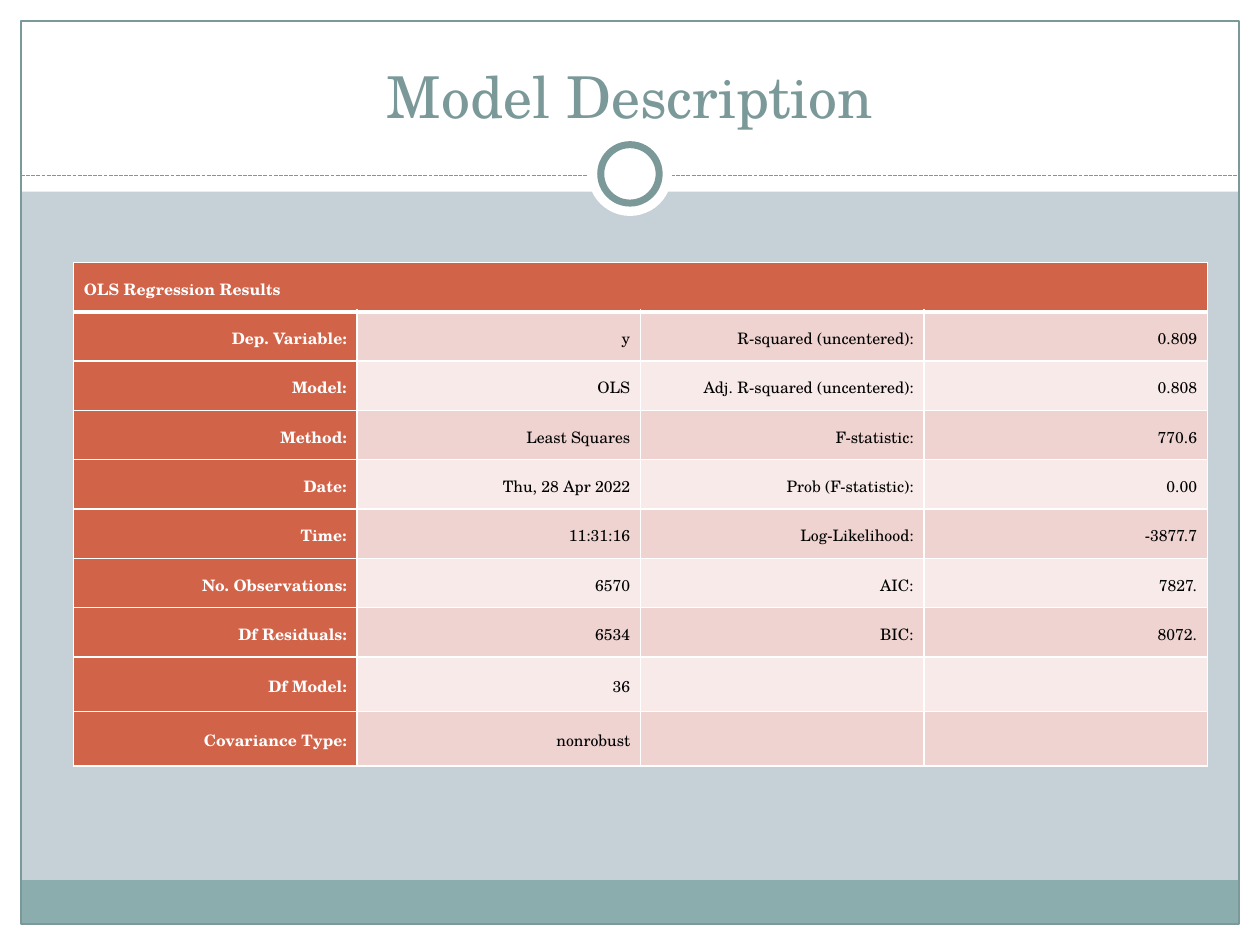
import pptx
import pptx.dml.color
import pptx.enum.dml
import pptx.enum.shapes
import pptx.enum.text
import pptx.oxml.ns
import pptx.util
from lxml import etree

Pt = pptx.util.Pt
SHAPES = pptx.enum.shapes.MSO_SHAPE
ALIGN = pptx.enum.text.PP_ALIGN
ANCHOR = pptx.enum.text.MSO_ANCHOR
FONT = "TeX Gyre Schola"
COLORS = {
    "background": "C5D1D7",
    "white": "FFFFFF",
    "black": "000000",
    "footer": "8CADAE",
    "accent": "7C999A",
    "heading": "D16349",
    "dark_band": "EED3D0",
    "light_band": "F7EAE9",
}
HEADING = "OLS Regression Results"
RESULTS = [
    ("Dep. Variable:", "y", "R-squared (uncentered):", "0.809"),
    ("Model:", "OLS", "Adj. R-squared (uncentered):", "0.808"),
    ("Method:", "Least Squares", "F-statistic:", "770.6"),
    ("Date:", "Thu, 28 Apr 2022", "Prob (F-statistic):", "0.00"),
    ("Time:", "11:31:16", "Log-Likelihood:", "-3877.7"),
    ("No. Observations:", "6570", "AIC:", "7827."),
    ("Df Residuals:", "6534", "BIC:", "8072."),
    ("Df Model:", "36", "", ""),
    ("Covariance Type:", "nonrobust", "", ""),
]


def rgb(name):
    return pptx.dml.color.RGBColor.from_string(COLORS[name])


def paint(target, name):
    target.fill.solid()
    target.fill.fore_color.rgb = rgb(name)


def add_panel(page, bounds, fill=None, line_width=0, kind=SHAPES.RECTANGLE):
    shape = page.shapes.add_shape(kind, *map(Pt, bounds))
    shape.shadow.inherit = False
    if fill:
        paint(shape, fill)
    else:
        shape.fill.background()
    if line_width:
        shape.line.color.rgb = rgb("accent")
        shape.line.width = Pt(line_width)
    else:
        shape.line.fill.background()


def add_dashed_rule(page, left, right, top):
    rule = page.shapes.add_connector(
        pptx.enum.shapes.MSO_CONNECTOR.STRAIGHT, Pt(left), Pt(top), Pt(right), Pt(top))
    rule.line.color.rgb = rgb("accent")
    rule.line.width = Pt(0.75)
    rule.line.dash_style = pptx.enum.dml.MSO_LINE.SQUARE_DOT
    etree.SubElement(rule.element.spPr, pptx.oxml.ns.qn("a:effectLst"))


def write(frame, text, size, color, align, bold=False):
    frame.text = text
    para = frame.paragraphs[0]
    para.alignment = align
    for span in para.runs:
        span.font.name = FONT
        span.font.size = Pt(size)
        span.font.bold = bold
        span.font.color.rgb = rgb(color)
    return para


def add_title(page, text):
    box = page.shapes.add_textbox(Pt(24), Pt(18), Pt(672), Pt(60))
    box.text_frame.word_wrap = True
    box.text_frame.vertical_anchor = ANCHOR.BOTTOM
    write(box.text_frame, text, 33, "accent", ALIGN.CENTER)


def set_borders(cell, top=1, bottom=1):
    """Give the cell white borders; must run before the cell is filled."""
    properties = cell._tc.get_or_add_tcPr()
    for side, width in (("L", 1), ("R", 1), ("T", top), ("B", bottom)):
        line = etree.SubElement(
            properties, pptx.oxml.ns.qn(f"a:ln{side}"), w=str(int(Pt(width))))
        solid = etree.SubElement(line, pptx.oxml.ns.qn("a:solidFill"))
        etree.SubElement(solid, pptx.oxml.ns.qn("a:srgbClr"), val=COLORS["white"])


def fill_cell(cell, text, is_heading, align):
    cell.margin_left = cell.margin_right = Pt(6)
    cell.margin_top = cell.margin_bottom = Pt(6)
    cell.vertical_anchor = ANCHOR.MIDDLE
    color = "white" if is_heading else "black"
    para = write(cell.text_frame, text, 9, color, align, is_heading)
    para.line_spacing = 1.15


def add_results_table(page):
    rows = [(HEADING, "", "", "")] + RESULTS
    table = page.shapes.add_table(
        len(rows), 4, Pt(42), Pt(150), Pt(648), Pt(288)).table
    for column in table.columns:
        column.width = Pt(162)
    for r, texts in enumerate(rows):
        table.rows[r].height = Pt(28.2 if r < 8 else 31.2)
        band = "dark_band" if r % 2 else "light_band"
        for c, text in enumerate(texts):
            cell = table.cell(r, c)
            is_heading = r == 0 or c == 0
            set_borders(cell, top=3 if r == 1 else 1, bottom=3 if r == 0 else 1)
            paint(cell, "heading" if is_heading else band)
            if text:
                fill_cell(cell, text, is_heading, ALIGN.RIGHT if r else ALIGN.LEFT)
    table.cell(0, 0).merge(table.cell(0, 3))


def add_frame(page):
    """Draw the white margins, the footer band and the ring on the rule."""
    for bounds in ((0, 528, 720, 12), (0, 0, 720, 109.5),
                   (0, 0, 12, 540), (708, 0, 12, 540)):
        add_panel(page, bounds, "white")
    add_panel(page, (11.75, 503, 695.75, 24.5), "footer")
    add_panel(page, (12, 12, 696, 516), line_width=0.75)
    add_dashed_rule(page, 12, 708, 100.5)
    for diameter, line_width in ((48, 0), (33.4, 4)):
        bounds = (360 - diameter / 2, 99.4 - diameter / 2, diameter, diameter)
        add_panel(page, bounds, "white", line_width, SHAPES.OVAL)


def main():
    deck = pptx.Presentation()
    deck.slide_width, deck.slide_height = Pt(720), Pt(540)
    page = deck.slides.add_slide(deck.slide_layouts[6])
    paint(page.background, "background")
    add_frame(page)
    add_title(page, "Model Description")
    add_results_table(page)
    deck.save("out.pptx")


if __name__ == "__main__":
    main()
